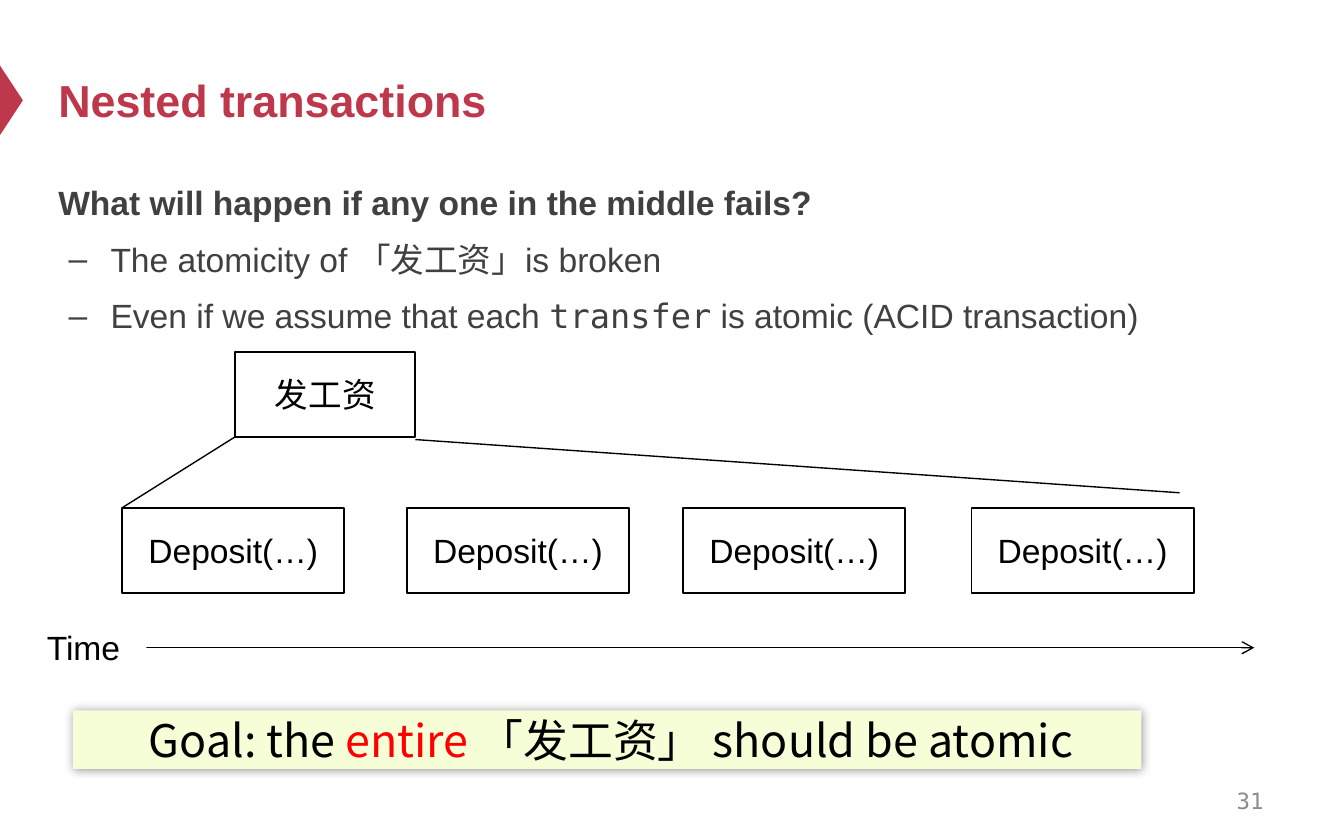
from dataclasses import dataclass
from typing import NamedTuple

from lxml import etree
from pptx import Presentation
from pptx import util as u
from pptx.dml.color import RGBColor
from pptx.enum import shapes, text
from pptx.oxml.ns import qn

Pt = u.Pt


@dataclass(frozen=True)
class Theme:
    accent: str = "BE384B"
    body: str = "404040"
    ink: str = "000000"
    paper: str = "FFFFFF"
    alert: str = "FF0000"
    goal: str = "F5FED6"
    muted: str = "8C8C8C"
    sans: str = "Arial"
    mono: str = "DejaVu Sans Mono"
    cjk: str = "Noto Sans CJK SC"
    heading: int = 24
    regular: int = 18
    small: int = 12


THEME = Theme()


class Run(NamedTuple):
    words: str
    color: str = THEME.ink
    size: int = THEME.regular
    family: str = THEME.sans
    bold: bool = False


class Box(NamedTuple):
    left: float
    top: float
    width: float
    height: float


class Line(NamedTuple):
    start: tuple[float, float]
    end: tuple[float, float]
    arrow: bool = False


class BodyLine(NamedTuple):
    runs: list[Run]
    level: int
    space_before: float


def set_attributes(target, values: dict) -> None:
    for name, value in values.items():
        setattr(target, name, value)


def place(shape, box: Box) -> None:
    set_attributes(shape, {name: Pt(value) for name, value in box._asdict().items()})


def add_runs(paragraph, runs: list[Run]) -> None:
    for item in runs:
        run = paragraph.add_run()
        run.text = item.words
        set_attributes(run.font, {"name": item.family, "size": Pt(item.size), "bold": item.bold})
        run.font.color.rgb = RGBColor.from_string(item.color)
        etree.SubElement(run.font._element, qn("a:ea"), typeface=item.family)


def write(shape, runs: list[Run], align=text.PP_ALIGN.LEFT, anchor=text.MSO_ANCHOR.MIDDLE, **frame_format) -> None:
    frame = shape.text_frame
    set_attributes(frame, {"word_wrap": True, "auto_size": text.MSO_AUTO_SIZE.NONE,
                           "vertical_anchor": anchor, **frame_format})
    frame.paragraphs[0].alignment = align
    add_runs(frame.paragraphs[0], runs)


def add_box(slide, box: Box, fill: str | None = None, line: str | None = None,
            kind=shapes.MSO_SHAPE.RECTANGLE):
    shape = slide.shapes.add_shape(kind, *map(Pt, box))
    shape.shadow.inherit = False
    if fill:
        shape.fill.solid()
        shape.fill.fore_color.rgb = RGBColor.from_string(fill)
    else:
        shape.fill.background()
    if line:
        shape.line.color.rgb = RGBColor.from_string(line)
        shape.line.width = Pt(1)
    else:
        shape.line.fill.background()
    return shape


def add_line(slide, line: Line) -> None:
    connector = slide.shapes.add_connector(
        shapes.MSO_CONNECTOR.STRAIGHT, *map(Pt, (*line.start, *line.end)))
    connector.line.color.rgb = RGBColor.from_string(THEME.ink)
    connector.line.width = Pt(0.75)
    properties = connector._element.spPr
    if line.arrow:
        etree.SubElement(properties.find(qn("a:ln")), qn("a:tailEnd"), type="arrow")
    etree.SubElement(properties, qn("a:effectLst"))


def add_glow(shape) -> None:
    effects = shape._element.spPr.find(qn("a:effectLst"))
    shadow = etree.SubElement(effects, qn("a:outerShdw"), blurRad=str(Pt(5)), dist="0", dir="0")
    color = etree.SubElement(shadow, qn("a:srgbClr"), val=THEME.ink)
    etree.SubElement(color, qn("a:alpha"), val="40000")


def write_body(placeholder, lines: list[BodyLine]) -> None:
    frame = placeholder.text_frame
    set_attributes(frame, {"word_wrap": True, "auto_size": text.MSO_AUTO_SIZE.NONE,
                           "vertical_anchor": text.MSO_ANCHOR.TOP})
    for index, line in enumerate(lines):
        paragraph = frame.add_paragraph() if index else frame.paragraphs[0]
        set_attributes(paragraph, {"level": line.level, "line_spacing": 1.2,
                                   "space_before": Pt(line.space_before)})
        properties = paragraph._p.get_or_add_pPr()
        properties.set("marL", str(Pt(28 * line.level)))
        properties.set("indent", str(Pt(-22.5 * line.level)))
        if line.level:
            etree.SubElement(properties, qn("a:buFont"), typeface=THEME.sans)
            etree.SubElement(properties, qn("a:buChar"), char="–")
        else:
            etree.SubElement(properties, qn("a:buNone"))
        add_runs(paragraph, line.runs)


def main() -> None:
    presentation = Presentation()
    set_attributes(presentation, {"slide_width": Pt(720), "slide_height": Pt(450)})
    slide = presentation.slides.add_slide(presentation.slide_layouts[1])

    marker = add_box(slide, Box(-13, 47.5, 38, 12.5), THEME.accent,
                     kind=shapes.MSO_SHAPE.ISOSCELES_TRIANGLE)
    marker.rotation = 90

    title, body = slide.placeholders
    place(title, Box(24, 18, 648, 70.5))
    write(title, [Run("Nested transactions", THEME.accent, THEME.heading, bold=True)])
    place(body, Box(24, 89.5, 648, 102))
    write_body(body, [
        BodyLine([Run("What will happen if any one in the middle fails?", THEME.body, bold=True)], 0, 12),
        BodyLine([Run("The atomicity of 「发工资」is broken", THEME.body)], 1, 4.5),
        BodyLine([Run("Even if we assume that each ", THEME.body),
                  Run("transfer", THEME.body, family=THEME.mono),
                  Run(" is atomic (ACID transaction)", THEME.body)], 1, 4.5),
    ])

    number = slide.shapes.add_textbox(*map(Pt, Box(516, 417, 168, 24)))
    write(number, [Run("31", THEME.muted, THEME.small, THEME.mono)], text.PP_ALIGN.RIGHT)

    add_line(slide, Line((31, 347), (672, 347), arrow=True))
    time_label = add_box(slide, Box(18, 332.5, 60.5, 29), THEME.paper)
    write(time_label, [Run("Time")], anchor=text.MSO_ANCHOR.TOP)

    payroll = Box(126, 188.5, 96.5, 45.5)
    deposits = [Box(left, 272, 119, 45.5) for left in (65.5, 218, 366, 520.5)]
    write(add_box(slide, payroll, THEME.paper, THEME.ink), [Run("发工资")], text.PP_ALIGN.CENTER)
    for deposit in deposits:
        write(add_box(slide, deposit, line=THEME.ink), [Run("Deposit(…)")], text.PP_ALIGN.CENTER)

    payroll_bottom = payroll.top + payroll.height
    add_line(slide, Line((deposits[0].left, deposits[0].top), (payroll.left, payroll_bottom)))
    add_line(slide, Line((632, 264), (payroll.left + payroll.width, payroll_bottom + 1.5)))

    goal = add_box(slide, Box(39, 380.5, 572.5, 31.5), THEME.goal)
    add_glow(goal)
    write(goal, [Run(words, color, THEME.heading, THEME.cjk) for words, color in (
        ("Goal: the ", THEME.ink), ("entire ", THEME.alert),
        ("「发工资」 should be atomic", THEME.ink))],
        text.PP_ALIGN.CENTER, margin_left=Pt(10), margin_right=Pt(6),
        margin_top=0, margin_bottom=0)

    presentation.save("out.pptx")


if __name__ == "__main__":
    main()
